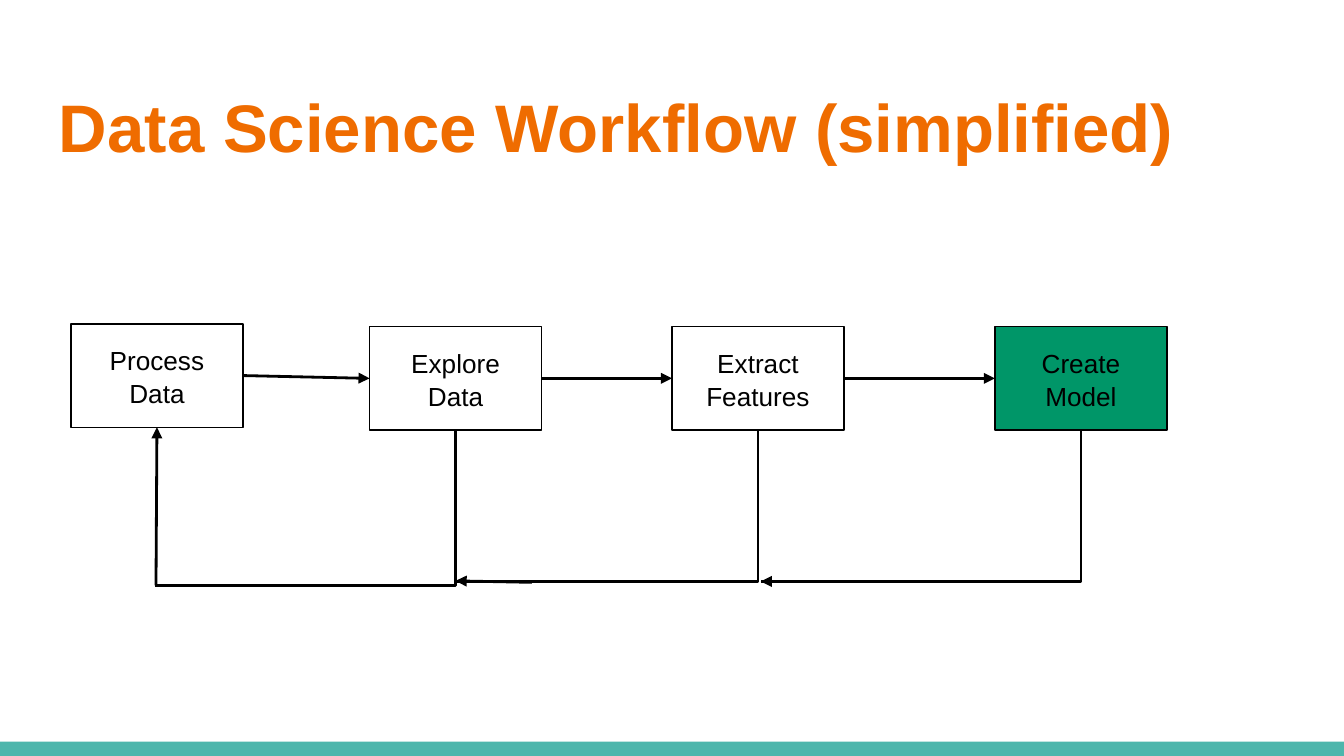
from dataclasses import dataclass

from lxml import etree
from pptx import Presentation
from pptx.dml.color import RGBColor
from pptx.enum import shapes, text
from pptx.oxml import ns
from pptx.util import Pt

BLACK = RGBColor(0x00, 0x00, 0x00)
WHITE = RGBColor(0xFF, 0xFF, 0xFF)
ORANGE = RGBColor(0xEF, 0x6C, 0x00)
GREEN = RGBColor(0x00, 0x96, 0x68)
TEAL = RGBColor(0x4D, 0xB6, 0xAC)
WIDE, HIGH = 720, 405
BOX_W, BOX_H = 92.16, 55.44
INSET = 7.2


@dataclass(frozen=True)
class Step:
    label: str
    left: float
    top: float = 175
    fill: RGBColor | None = None

    @property
    def mid(self) -> float:
        return self.left + BOX_W / 2

    @property
    def right(self) -> float:
        return self.left + BOX_W

    @property
    def waist(self) -> float:
        return self.top + BOX_H / 2

    @property
    def foot(self) -> float:
        return self.top + BOX_H


@dataclass(frozen=True)
class Arrow:
    x1: float
    y1: float
    x2: float
    y2: float


STEPS = [
    Step("Process Data", 38, 173.5),
    Step("Explore Data", 198),
    Step("Extract Features", 360),
    Step("Create Model", 533, fill=GREEN),
]


def assign(item, values: dict) -> None:
    for name, value in values.items():
        setattr(item, name, value)


def write(shape, words: str, size: float, color: RGBColor, bold: bool,
          align, anchor, pitch: float) -> None:
    frame = shape.text_frame
    sides = ("left", "right", "top", "bottom")
    assign(frame, {f"margin_{side}": Pt(INSET) for side in sides})
    assign(frame, {"word_wrap": True, "vertical_anchor": anchor})
    para = frame.paragraphs[0]
    assign(para, {"alignment": align, "line_spacing": pitch})
    run = para.add_run()
    run.text = words
    assign(run.font, {"name": "Arial", "size": Pt(size), "bold": bold})
    run.font.color.rgb = color


def add_rect(slide, left: float, top: float, width: float, height: float,
             fill: RGBColor | None):
    rect = slide.shapes.add_shape(
        shapes.MSO_SHAPE.RECTANGLE, Pt(left), Pt(top), Pt(width), Pt(height))
    rect.shadow.inherit = False
    if fill is None:
        rect.fill.background()
    else:
        rect.fill.solid()
        rect.fill.fore_color.rgb = fill
    return rect


def add_step(slide, step: Step) -> None:
    rect = add_rect(slide, step.left, step.top, BOX_W, BOX_H, step.fill)
    rect.line.color.rgb = BLACK
    rect.line.width = Pt(0.75)
    write(rect, step.label, 14, BLACK, False,
          text.PP_ALIGN.CENTER, text.MSO_ANCHOR.MIDDLE, 1.05)


def add_link(slide, kind, x1: float, y1: float, x2: float, y2: float):
    link = slide.shapes.add_connector(kind, Pt(x1), Pt(y1), Pt(x2), Pt(y2))
    link.line.color.rgb = BLACK
    link.line.width = Pt(1.5)
    etree.SubElement(link._element.spPr, ns.qn("a:effectLst"))
    return link


def add_arrow(slide, arrow: Arrow) -> None:
    link = add_link(slide, shapes.MSO_CONNECTOR.STRAIGHT,
                    arrow.x1, arrow.y1, arrow.x2, arrow.y2)
    etree.SubElement(link.line._get_or_add_ln(), ns.qn("a:tailEnd"),
                     type="triangle")


def add_bend(slide, start: Step, x: float, y: float) -> None:
    """Run down from a step, then left to (x, y): a corner turned 90 degrees."""
    drop, reach = y - start.foot, start.mid - x
    left = (start.mid + x - drop) / 2
    top = (start.foot + y - reach) / 2
    link = add_link(slide, shapes.MSO_CONNECTOR.ELBOW,
                    left, top, left + drop, top + reach)
    props = link._element.spPr
    props.find(ns.qn("a:xfrm")).set("rot", str(90 * 60000))
    props.find(ns.qn("a:prstGeom")).set("prst", "bentConnector2")


def main() -> None:
    deck = Presentation()
    assign(deck, {"slide_width": Pt(WIDE), "slide_height": Pt(HIGH)})
    slide = deck.slides.add_slide(deck.slide_layouts[6])
    slide.background.fill.solid()
    slide.background.fill.fore_color.rgb = WHITE

    band = add_rect(slide, 0, 397.4, WIDE, 7.6, TEAL)
    band.line.fill.background()
    title = slide.shapes.add_textbox(Pt(24.5), Pt(35.3), Pt(671), Pt(55.44))
    write(title, "Data Science Workflow (simplified)", 36, ORANGE, True,
          text.PP_ALIGN.LEFT, text.MSO_ANCHOR.TOP, 1.08)

    for step in STEPS:
        add_step(slide, step)
    for here, after in zip(STEPS, STEPS[1:]):
        add_arrow(slide, Arrow(here.right, here.waist, after.left, after.waist))

    first, second, third, last = STEPS
    low, floor = 313.6, 311.5
    add_bend(slide, second, first.mid - 1, low)
    add_bend(slide, third, second.mid, floor)
    add_bend(slide, last, third.mid + 1.5, floor)
    returns = [
        Arrow(first.mid - 0.5, low, first.mid, first.foot),
        Arrow(285, floor + 0.5, second.mid, floor - 0.3),
        Arrow(441, floor, third.mid + 1.5, floor),
    ]
    for arrow in returns:
        add_arrow(slide, arrow)

    deck.save("out.pptx")


if __name__ == "__main__":
    main()
